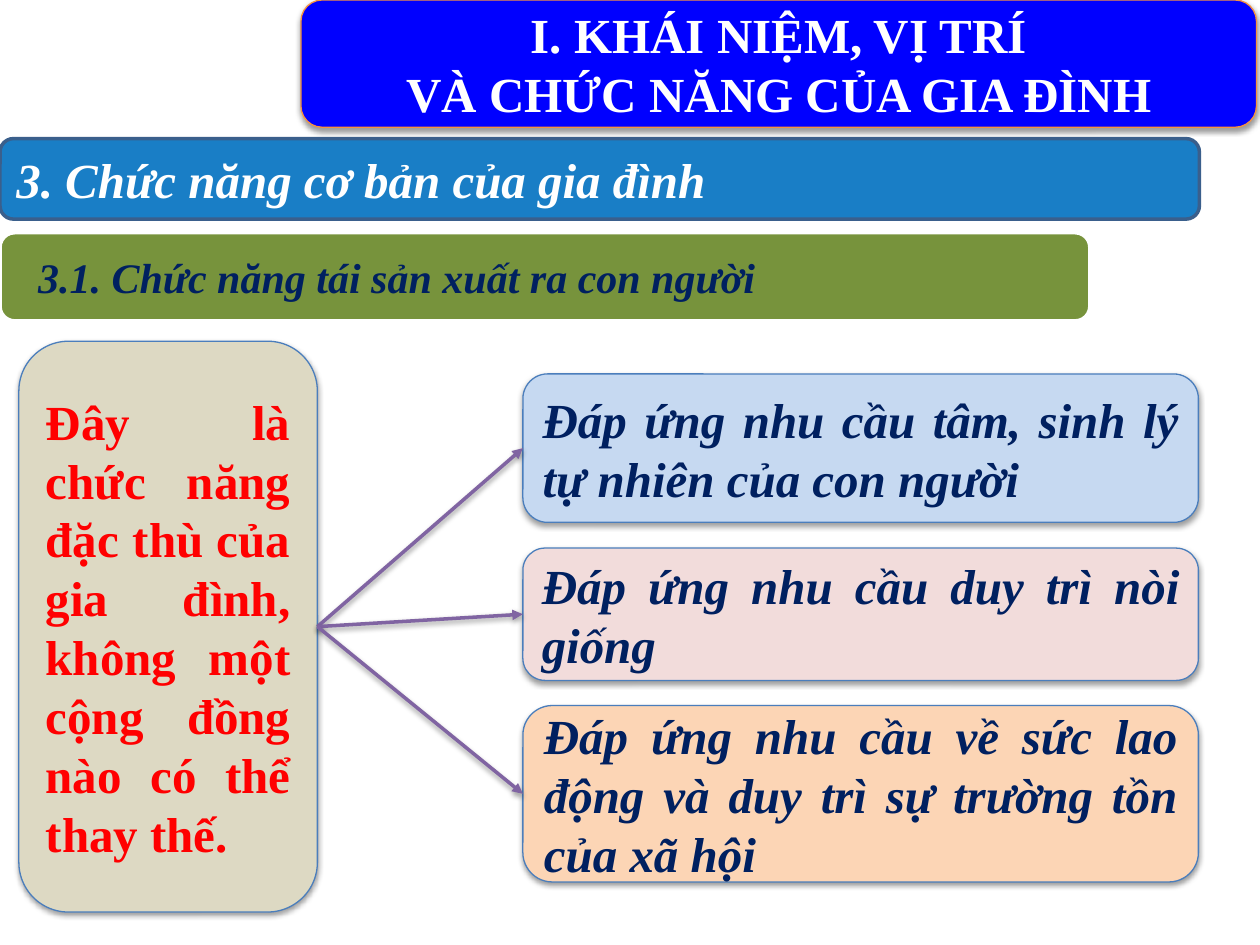
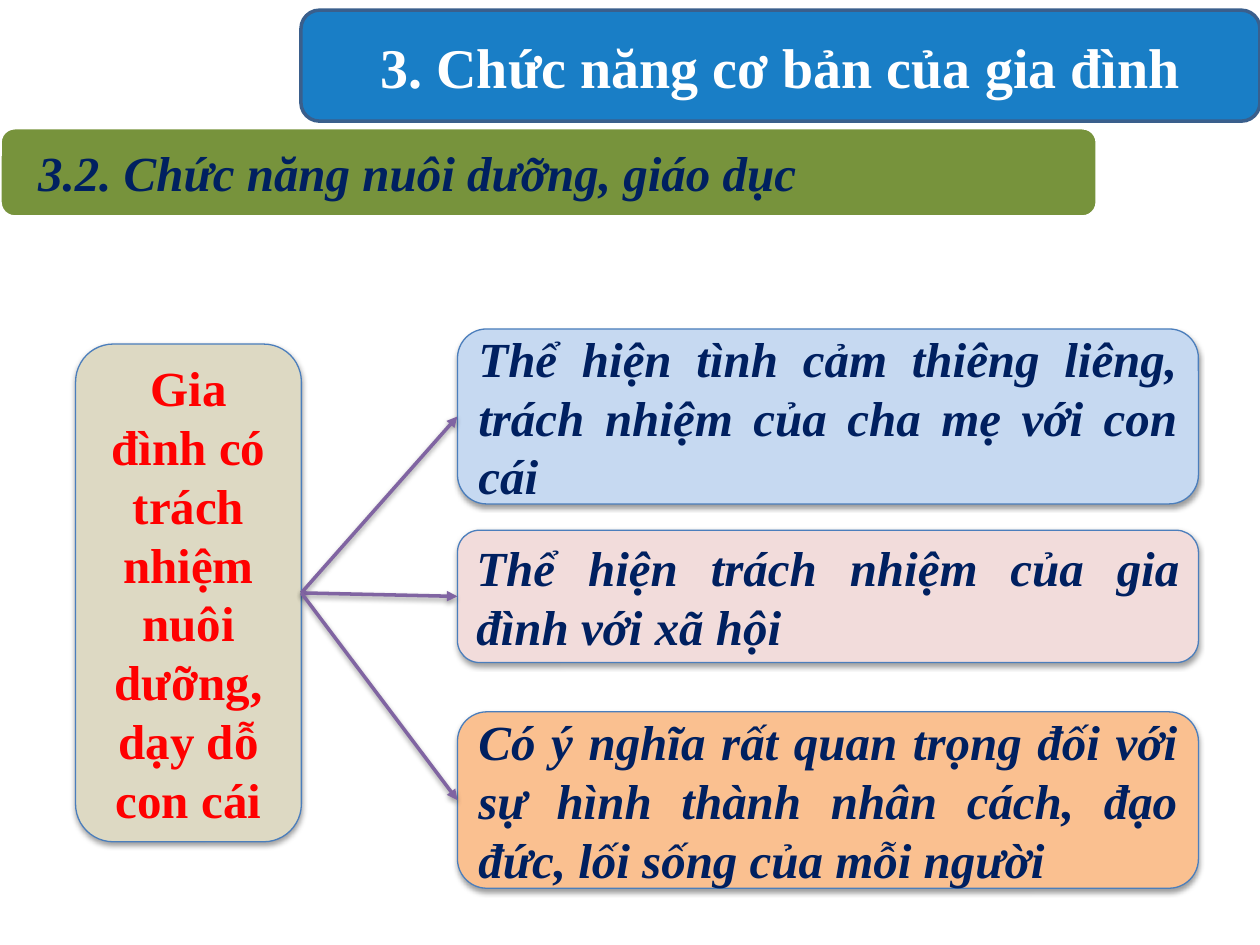
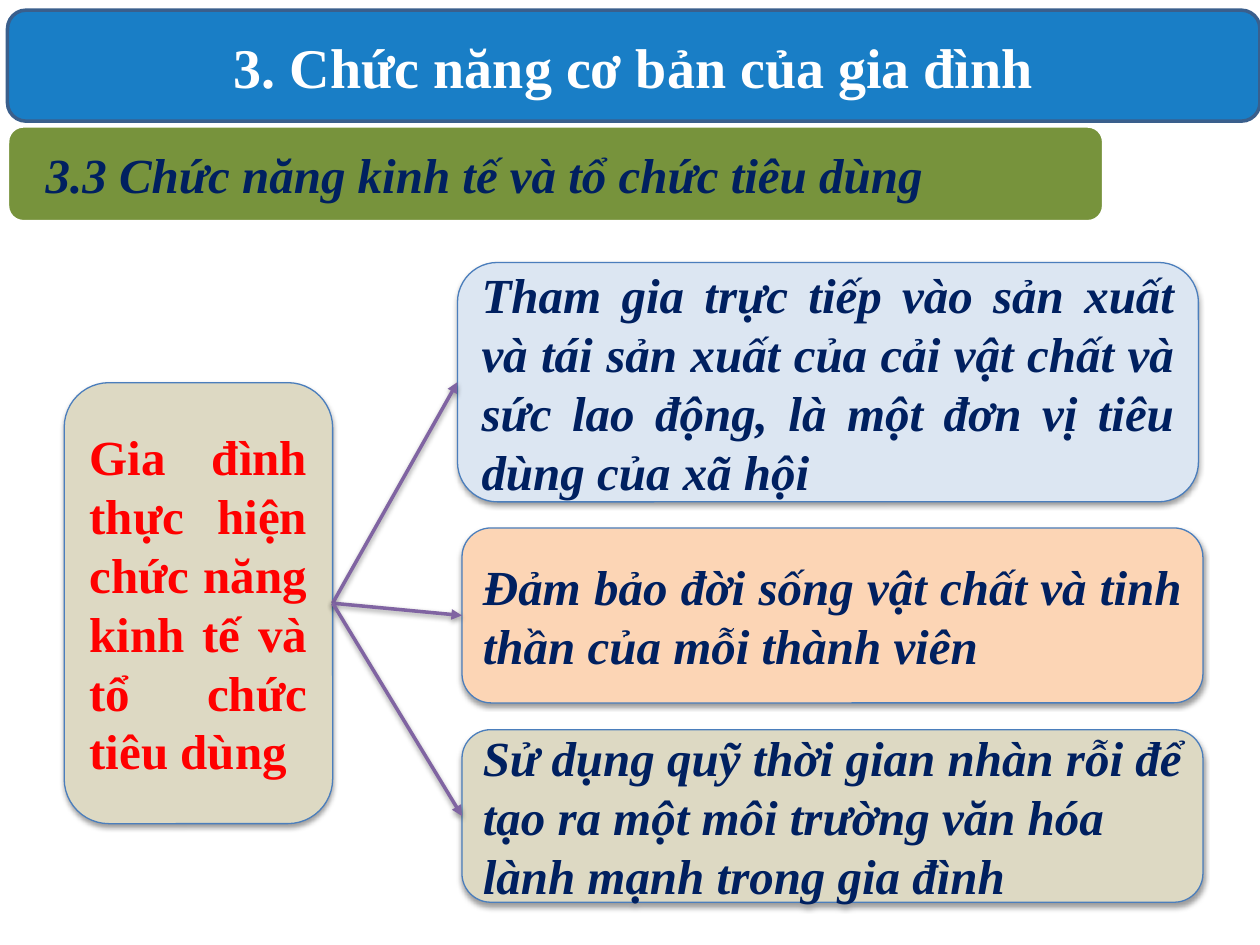
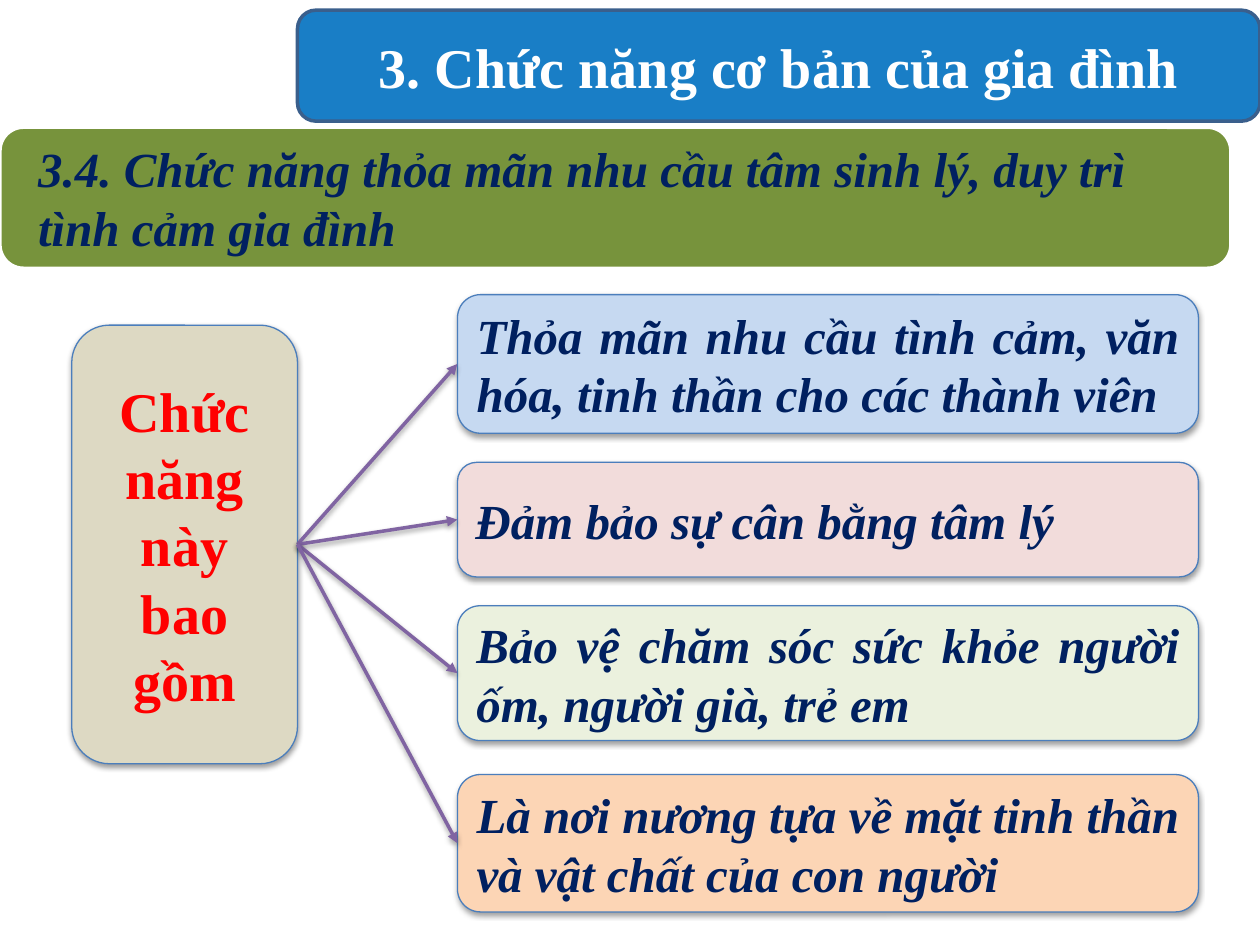
from pptx import Presentation
from pptx.dml.color import RGBColor
from pptx.enum.shapes import MSO_CONNECTOR, MSO_SHAPE
from pptx.enum.text import MSO_ANCHOR, MSO_AUTO_SIZE, PP_ALIGN
from pptx.oxml import parse_xml
from pptx.oxml.ns import nsdecls, qn
from pptx.util import Pt

FACE = "Times New Roman"
WHITE, NAVY, RED = "FFFFFF", "002060", "FF0000"
ROYAL, BLUE, GREEN, PURPLE = "0000FF", "0070C0", "77933C", "8064A2"
SAND, SKY, ROSE, PEACH = "DDD9C3", "C6D9F1", "F2DCDB", "FCD5B5"
ORANGE, PALE, MINT = "FAC090", "DCE6F2", "EBF1DE"
LEFT, MID, JUST = PP_ALIGN.LEFT, PP_ALIGN.CENTER, PP_ALIGN.JUSTIFY

TOPIC = "3. Chức năng cơ bản của gia đình"
RIGHT = 720  # slide width
TOP, TALL = 5.8, 63.4  # title band on the topic slides

# Boxes are (left, top, width, height); leaves are (text, fill, top, height, left, align).
SLIDES = [
    {
        "title": ["I. KHÁI NIỆM, VỊ TRÍ", "VÀ CHỨC NĂNG CỦA GIA ĐÌNH"],
        "band": (172, 0, 546, 72.7),
        "topic": (0, 79.2, 685.4, 46),
        "head": ("3.1. Chức năng tái sản xuất ra con người", 24, (0, 133, 622.8, 50.4)),
        "root": ("Đây là chức năng đặc thù của gia đình, không một cộng đồng nào "
                 "có thể thay thế.", 28, JUST, (10.8, 195, 170.6, 326.2)),
        "wide": 386,
        "leaves": [
            ("Đáp ứng nhu cầu tâm, sinh lý tự nhiên của con người",
             SKY, 213.7, 84.8, 298.8, JUST),
            ("Đáp ứng nhu cầu duy trì nòi giống", ROSE, 313.2, 75.6, 298.8, JUST),
            ("Đáp ứng nhu cầu về sức lao động và duy trì sự trường tồn của xã hội",
             PEACH, 403.2, 100.8, 298.8, JUST),
        ],
    },
    {
        "title": [TOPIC],
        "band": (172, TOP, RIGHT - 172, TALL),
        "head": ("3.2. Chức năng nuôi dưỡng, giáo dục", 28, (0, 73, 627, 51)),
        "root": ("Gia đình có trách nhiệm nuôi dưỡng, dạy dỗ con cái",
                 28, MID, (43.2, 196.6, 129, 284.4)),
        "wide": 423.4,
        "leaves": [
            ("Thể hiện tình cảm thiêng liêng, trách nhiệm của cha mẹ với con cái",
             SKY, 188, 100, 261.4, JUST),
            ("Thể hiện trách nhiệm của gia đình với xã hội",
             ROSE, 303, 75.6, 261.4, JUST),
            ("Có ý nghĩa rất quan trọng đối với sự hình thành nhân cách, đạo đức, "
             "lối sống của mỗi người", ORANGE, 406.8, 100.8, 261.4, JUST),
        ],
    },
    {
        "title": [TOPIC],
        "band": (4.3, TOP, RIGHT - 4.3, TALL),
        "head": ("3.3 Chức năng kinh tế và tổ chức tiêu dùng", 28, (4.3, 72, 626.4, 54.7)),
        "root": ("Gia đình thực hiện chức năng kinh tế và tổ chức tiêu dùng",
                 28, JUST, (36.7, 218.7, 153.4, 252)),
        "wide": 423.4,
        "leaves": [
            ("Tham gia trực tiếp vào sản xuất và tái sản xuất của cải vật chất và "
             "sức lao động, là một đơn vị tiêu dùng của xã hội",
             PALE, 150, 136.8, 261.4, JUST),
            ("Đảm bảo đời sống vật chất và tinh thần của mỗi thành viên",
             PEACH, 301.7, 100, 264, JUST),
            ("Sử dụng quỹ thời gian nhàn rỗi để tạo ra một môi trường văn hóa "
             "lành mạnh trong gia đình", SAND, 417, 98.6, 264, LEFT),
        ],
    },
    {
        "title": [TOPIC],
        "band": (170, TOP, RIGHT - 170, TALL),
        "head": ("3.4. Chức năng thỏa mãn nhu cầu tâm sinh lý, duy trì tình cảm gia đình",
                 28, (0, 72.7, 703.4, 80.6)),
        "root": ("Chức năng này bao gồm", 32, MID, (41, 185.8, 129, 250.6)),
        "wide": 423.4,
        "leaves": [
            ("Thỏa mãn nhu cầu tình cảm, văn hóa, tinh thần cho các thành viên",
             SKY, 168.4, 79.2, 261.4, JUST),
            ("Đảm bảo sự cân bằng tâm lý", ROSE, 264.2, 65.5, 261.4, JUST),
            ("Bảo vệ chăm sóc sức khỏe người ốm, người già, trẻ em",
             MINT, 346.2, 77, 261.4, JUST),
            ("Là nơi nương tựa về mặt tinh thần và vật chất của con người",
             PEACH, 442.6, 78.5, 261.4, JUST),
        ],
    },
]


def paint(target, color):
    target.rgb = RGBColor.from_string(color)


def place(shape, box):
    for name, size in zip(("left", "top", "width", "height"), box):
        setattr(shape, name, Pt(size))


def shade(shape):
    """Give a soft shadow straight below; call after the line is set."""
    shape._element.spPr.append(parse_xml(
        f'<a:effectLst {nsdecls("a")}><a:outerShdw blurRad="40000" dist="20000" '
        'dir="5400000" rotWithShape="0"><a:srgbClr val="000000"><a:alpha val="38000"/>'
        '</a:srgbClr></a:outerShdw></a:effectLst>'))


def panel(shapes, box, fill, edge, width, soft=False):
    shape = shapes.add_shape(MSO_SHAPE.ROUNDED_RECTANGLE, *map(Pt, box))
    shape.fill.solid()
    paint(shape.fill.fore_color, fill)
    paint(shape.line.color, edge)
    shape.line.width = Pt(width)
    if soft:
        shade(shape)
    else:
        shape.shadow.inherit = False
    return shape


def blue(shapes, box):
    """Add the slightly clear blue band of the topic."""
    shape = panel(shapes, box, BLUE, "3A5F8C", 2)
    tint = shape._element.spPr.find(qn("a:solidFill")).find(qn("a:srgbClr"))
    tint.append(parse_xml(f'<a:alpha {nsdecls("a")} val="90000"/>'))
    return shape


def write(shape, lines, size, color, align, italic=False):
    frame = shape.text_frame
    frame.word_wrap = True
    frame.auto_size = MSO_AUTO_SIZE.NONE
    frame.vertical_anchor = MSO_ANCHOR.MIDDLE
    frame.text = "\n".join(lines)
    look = {"name": FACE, "size": Pt(size), "bold": True, "italic": italic}
    for para in frame.paragraphs:
        para.alignment = align
        for name, value in look.items():
            setattr(para.font, name, value)
        paint(para.font.color, color)


def add_title(slide, lines, box, first):
    if first:
        band = panel(slide.shapes, box, ROYAL, "F69240", 0.75, True)
    else:
        band = blue(slide.shapes, box)
    title = slide.shapes.title
    place(title, box)
    write(title, lines, 28 if first else 32, WHITE, MID)
    band._element.addnext(title._element)


def add_head(slide, text, size, box):
    group = slide.shapes.add_group_shape().shapes
    panel(group, box, GREEN, WHITE, 2)
    left, top, width, height = box
    label = group.add_textbox(*map(Pt, (left + 4.5, top + 3, width - 9, height - 6)))
    write(label, [text], size, NAVY, LEFT, True)
    pads = {"left": 17.3, "right": 17.3, "top": 0, "bottom": 0}
    for side, pad in pads.items():
        setattr(label.text_frame, f"margin_{side}", Pt(pad))


def add_card(slide, text, size, color, align, box, fill, italic=False):
    card = panel(slide.shapes, box, fill, "4B7EBC", 0.75, True)
    write(card, [text], size, color, align, italic)
    return card


def add_arrow(slide, start, end):
    """Join the right side of start to the left side of end."""
    arrow = slide.shapes.add_connector(MSO_CONNECTOR.STRAIGHT, 0, 0, 0, 0)
    arrow.begin_connect(start, 3)
    arrow.end_connect(end, 1)
    paint(arrow.line.color, PURPLE)
    arrow.line.width = Pt(2)
    arrow._element.spPr.find(qn("a:ln")).append(
        parse_xml(f'<a:tailEnd {nsdecls("a")} type="triangle"/>'))
    shade(arrow)


def build(deck, data):
    slide = deck.slides.add_slide(deck.slide_layouts[5])
    first = "topic" in data
    add_title(slide, data["title"], data["band"], first)
    if first:
        write(blue(slide.shapes, data["topic"]), [TOPIC], 28, WHITE, JUST, True)
    add_head(slide, *data["head"])
    text, size, align, box = data["root"]
    root = add_card(slide, text, size, RED, align, box, SAND)
    for text, fill, top, height, left, align in data["leaves"]:
        box = (left, top, data["wide"], height)
        leaf = add_card(slide, text, 28, NAVY, align, box, fill, True)
        add_arrow(slide, root, leaf)


def main():
    deck = Presentation()
    deck.slide_width, deck.slide_height = Pt(RIGHT), Pt(540)
    for data in SLIDES:
        build(deck, data)
    deck.save("out.pptx")


if __name__ == "__main__":
    main()
